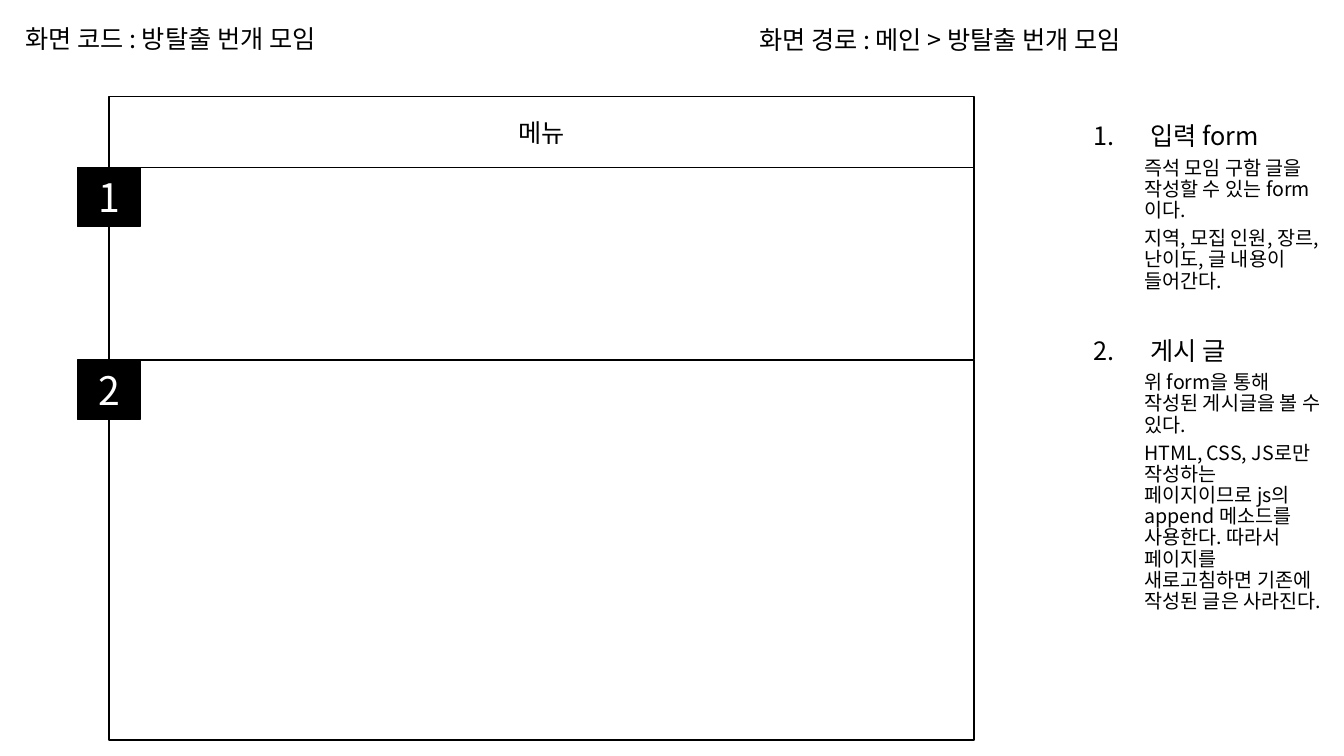
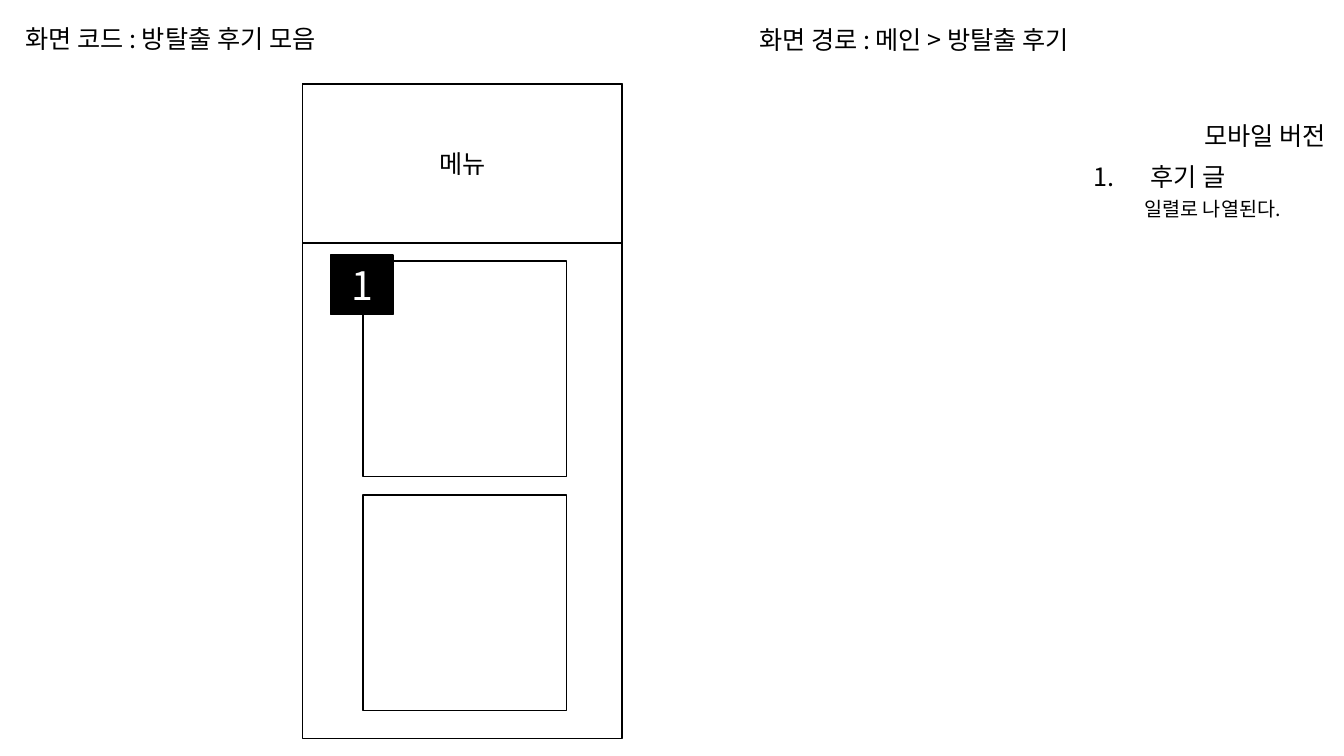
from dataclasses import dataclass
from typing import Any

from lxml import etree
from pptx import Presentation
from pptx.dml.color import RGBColor
from pptx.enum.shapes import MSO_SHAPE
from pptx.enum.text import MSO_ANCHOR, MSO_AUTO_SIZE, PP_ALIGN
from pptx.oxml.ns import qn
from pptx.util import Inches, Pt

RECTANGLE = MSO_SHAPE.RECTANGLE
LEFT, CENTER, RIGHT = PP_ALIGN.LEFT, PP_ALIGN.CENTER, PP_ALIGN.RIGHT
TOP, MIDDLE = MSO_ANCHOR.TOP, MSO_ANCHOR.MIDDLE
NO_FIT = MSO_AUTO_SIZE.NONE


@dataclass(frozen=True)
class Theme:
    font: str = "Noto Sans CJK KR"
    ink: RGBColor = RGBColor(0, 0, 0)
    paper: RGBColor = RGBColor(255, 255, 255)
    text_size: int = 18
    detail_size: int = 14
    badge_size: int = 28
    line_width: int = 1
    line_spacing: float = 0.9


THEME = Theme()


@dataclass(frozen=True)
class Box:
    left: float
    top: float
    width: float
    height: float
    text: str = ""


@dataclass(frozen=True)
class Badge:
    left: float
    top: float
    number: int


@dataclass(frozen=True)
class NoteStyle:
    size: int
    space_before: int
    level: int = 0
    margin: float = 0
    indent: float = 0
    alignment: PP_ALIGN = LEFT
    numbered: bool = False


@dataclass(frozen=True)
class Note:
    text: str
    style: NoteStyle


@dataclass(frozen=True)
class Screen:
    code: str
    route: str
    boxes: list[Box]
    badges: list[Badge]
    notes: list[Note]


CODE_AREA = Box(0.15, 0.16, 5.75, 0.49)
ROUTE_AREA = Box(7.43, 0.16, 5.75, 0.49)
NOTES_AREA = Box(10.75, 1.18, 2.5, 6.16)
BADGE_WIDTH, BADGE_HEIGHT = 0.62, 0.59

CAPTION = NoteStyle(THEME.text_size, 10, alignment=RIGHT)
HEADING = NoteStyle(THEME.text_size, 10, margin=0.56, indent=-0.56, numbered=True)
NEXT_HEADING = NoteStyle(THEME.text_size, 33, margin=0.56, indent=-0.56, numbered=True)
DETAIL = NoteStyle(THEME.detail_size, 5, level=1, margin=0.5)


def stack_boxes(left: float, top: float, width: float, heights: list[float],
                texts: list[str], gap: float = 0) -> list[Box]:
    boxes = []
    for height, text in zip(heights, texts):
        boxes.append(Box(left, top, width, height, text))
        top += height + gap
    return boxes


SCREENS = [
    Screen(
        "화면 코드 : 방탈출 번개 모임",
        "화면 경로 : 메인 > 방탈출 번개 모임",
        stack_boxes(1.08, 0.96, 8.58, [0.7, 1.91, 3.77], ["메뉴", "", ""]),
        [Badge(0.77, 1.66, 1), Badge(0.77, 3.57, 2)],
        [
            Note("입력 form", HEADING),
            Note("즉석 모임 구함 글을 작성할 수 있는 form이다.", DETAIL),
            Note("지역, 모집 인원, 장르, 난이도, 글 내용이 들어간다.", DETAIL),
            Note("게시 글", NEXT_HEADING),
            Note("위 form을 통해 작성된 게시글을 볼 수 있다.", DETAIL),
            Note("HTML, CSS, JS로만 작성하는 페이지이므로 js의 append 메소드를 "
                 "사용한다. 따라서 페이지를 새로고침하면 기존에 작성된 글은 "
                 "사라진다.", DETAIL),
        ],
    ),
    Screen(
        "화면 코드 : 방탈출 후기 모음",
        "화면 경로 : 메인 > 방탈출 후기",
        [Box(3, 0.83, 3.17, 6.5), Box(3, 0.84, 3.17, 1.57, "메뉴"),
         *stack_boxes(3.6, 2.59, 2.02, [2.14, 2.14], ["", ""], gap=0.18)],
        [Badge(3.28, 2.53, 1)],
        [
            Note("모바일 버전", CAPTION),
            Note("후기 글", HEADING),
            Note("일렬로 나열된다.", DETAIL),
        ],
    ),
]


def apply_format(target: Any, values: dict[str, Any]) -> None:
    for name, value in values.items():
        setattr(target, name, value)


def place(shape: Any, area: Box) -> None:
    apply_format(shape, {name: Inches(getattr(area, name))
                         for name in ("left", "top", "width", "height")})


def write_text(paragraph: Any, text: str, size: int, color: RGBColor,
               values: dict[str, Any]) -> None:
    apply_format(paragraph, values)
    run = paragraph.add_run()
    run.text = text
    run.font.color.rgb = color
    apply_format(run.font, {"size": Pt(size), "name": THEME.font, "bold": False})
    east_asian = etree.SubElement(run.font._element, qn("a:ea"))
    east_asian.set("typeface", THEME.font)


def write_header(shape: Any, area: Box, text: str) -> None:
    place(shape, area)
    apply_format(shape.text_frame, {"word_wrap": True, "auto_size": NO_FIT,
                                    "vertical_anchor": MIDDLE})
    write_text(shape.text_frame.paragraphs[0], text, THEME.text_size, THEME.ink,
               {"alignment": LEFT, "line_spacing": THEME.line_spacing})


def draw_box(slide: Any, box: Box, fill: RGBColor, color: RGBColor, size: int) -> None:
    shape = slide.shapes.add_shape(RECTANGLE, 0, 0, 0, 0)
    place(shape, box)
    shape.shadow.inherit = False
    shape.fill.solid()
    shape.fill.fore_color.rgb = fill
    shape.line.color.rgb = THEME.ink
    shape.line.width = Pt(THEME.line_width)
    if box.text:
        shape.text_frame.vertical_anchor = MIDDLE
        write_text(shape.text_frame.paragraphs[0], box.text, size, color,
                   {"alignment": CENTER})


def draw_badge(slide: Any, badge: Badge) -> None:
    box = Box(badge.left, badge.top, BADGE_WIDTH, BADGE_HEIGHT, str(badge.number))
    draw_box(slide, box, THEME.ink, THEME.paper, THEME.badge_size)


def write_notes(shape: Any, notes: list[Note]) -> None:
    place(shape, NOTES_AREA)
    frame = shape.text_frame
    apply_format(frame, {"word_wrap": True, "auto_size": NO_FIT,
                         "vertical_anchor": TOP})
    for index, note in enumerate(notes):
        style = note.style
        paragraph = frame.add_paragraph() if index else frame.paragraphs[0]
        write_text(paragraph, note.text, style.size, THEME.ink, {
            "level": style.level,
            "alignment": style.alignment,
            "line_spacing": THEME.line_spacing,
            "space_before": Pt(style.space_before),
        })
        properties = paragraph._p.get_or_add_pPr()
        properties.set("marL", str(Inches(style.margin)))
        properties.set("indent", str(Inches(style.indent)))
        if style.numbered:
            bullet = etree.SubElement(properties, qn("a:buAutoNum"))
            bullet.set("type", "arabicPeriod")
        else:
            etree.SubElement(properties, qn("a:buNone"))


def build_screen(presentation: Any, screen: Screen) -> None:
    slide = presentation.slides.add_slide(presentation.slide_layouts[1])
    write_header(slide.shapes.title, CODE_AREA, screen.code)
    write_header(slide.shapes.add_textbox(0, 0, 0, 0), ROUTE_AREA, screen.route)
    write_notes(slide.placeholders[1], screen.notes)
    for box in screen.boxes:
        draw_box(slide, box, THEME.paper, THEME.ink, THEME.text_size)
    for badge in screen.badges:
        draw_badge(slide, badge)


def main() -> None:
    presentation = Presentation()
    apply_format(presentation, {"slide_width": Inches(13.33),
                                "slide_height": Inches(7.5)})
    for screen in SCREENS:
        build_screen(presentation, screen)
    presentation.save("out.pptx")


if __name__ == "__main__":
    main()
